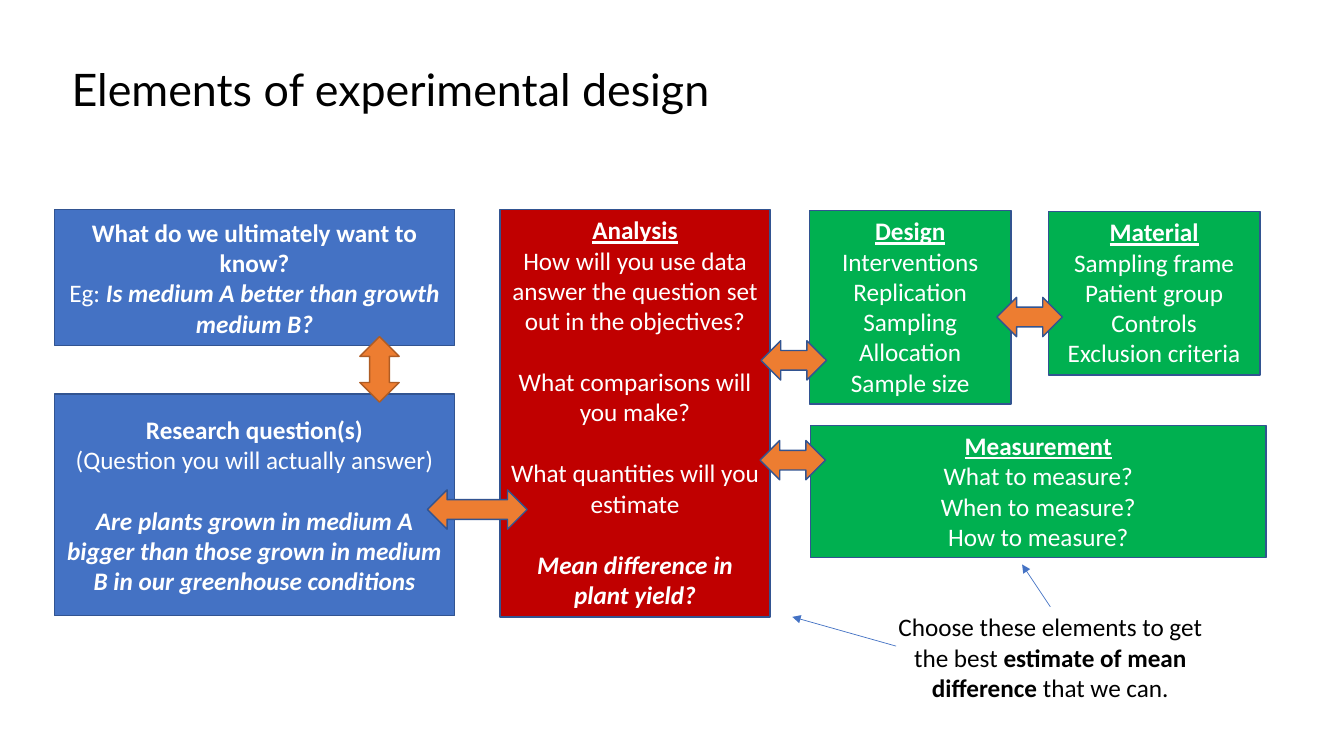
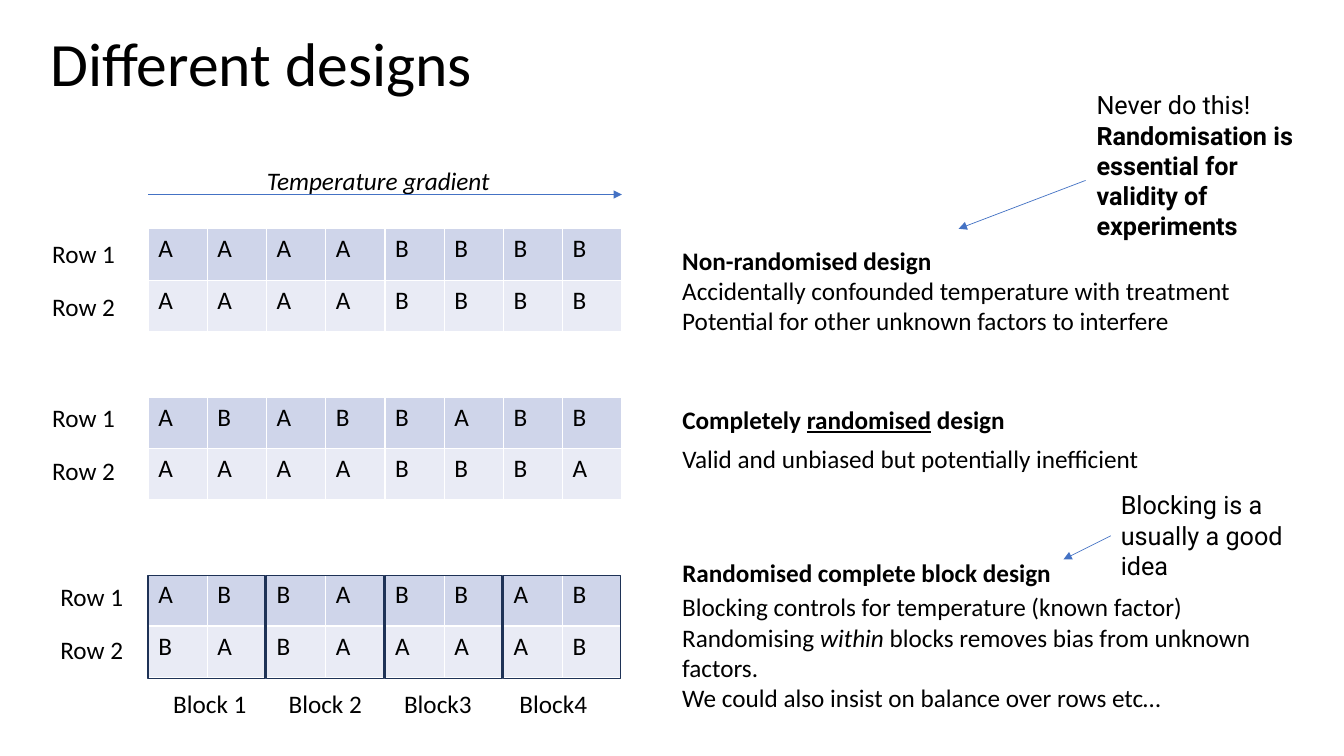
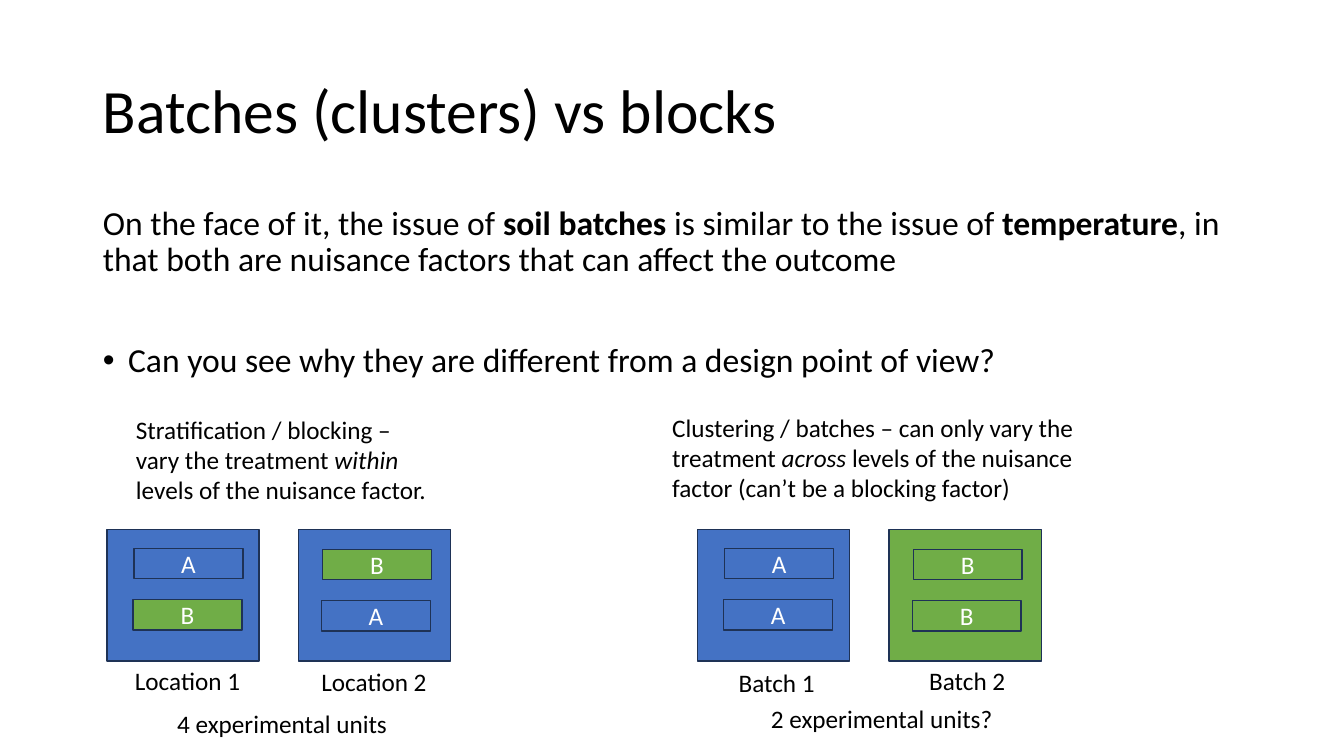
import pptx
import pptx.util
import pptx.dml.color
import pptx.enum.shapes
import pptx.enum.text
import pptx.oxml
import pptx.oxml.ns
from lxml import etree

RGBColor = pptx.dml.color.RGBColor
SHAPE = pptx.enum.shapes.MSO_SHAPE
ANCHOR = pptx.enum.text.MSO_ANCHOR
ALIGN = pptx.enum.text.PP_ALIGN
qn = pptx.oxml.ns.qn

# Shared look
BLACK = RGBColor(0x00, 0x00, 0x00)
WHITE = RGBColor(0xFF, 0xFF, 0xFF)
BLUE = RGBColor(0x44, 0x72, 0xC4)
EDGE = RGBColor(0x32, 0x54, 0x91)
NAVY = RGBColor(0x1E, 0x32, 0x56)
GREEN = RGBColor(0x00, 0xB0, 0x50)
LEAF = RGBColor(0x70, 0xAD, 0x47)
RED = RGBColor(0xC0, 0x00, 0x00)
ORANGE = RGBColor(0xED, 0x7D, 0x31)
RUST = RGBColor(0xAF, 0x5C, 0x24)
BANDS = (RGBColor(0xCF, 0xD5, 0xEA), RGBColor(0xE9, 0xEB, 0xF5))
FONT = "Calibri"
TEXT_SIZE = 18
LINE_GAP = 22  # one line of running text, in points

# The grid: 133.33 columns by 75 rows of square cells
CELL = pptx.util.Inches(0.1)
COLS, ROWS = 133.33, 75
TITLE_W, TITLE_H = 115, 14.5
LABEL_H = 4


def grid(*cells):
    """Turn grid cells into lengths."""
    return [pptx.util.Emu(round(c * CELL)) for c in cells]


def para(*runs, gap=0):
    """A paragraph: runs are text or (text, letters from b, i, u)."""
    return runs, gap


def write(tf, paras, size=TEXT_SIZE, font=FONT, color=BLACK, align=ALIGN.LEFT,
          spacing=None):
    for n, (runs, gap) in enumerate(paras):
        p = tf.paragraphs[0] if n == 0 else tf.add_paragraph()
        p.alignment = align
        p.space_before = pptx.util.Pt(gap)
        if spacing:
            p.line_spacing = spacing
        for run in runs:
            text, style = (run, "") if isinstance(run, str) else run
            r = p.add_run()
            r.text = text
            r.font.name = font
            r.font.size = pptx.util.Pt(size)
            r.font.color.rgb = color
            r.font.bold = "b" in style
            r.font.italic = "i" in style
            r.font.underline = "u" in style


def place(ph, x, y, w, h):
    ph.left, ph.top, ph.width, ph.height = grid(x, y, w, h)
    ph.text_frame.auto_size = pptx.enum.text.MSO_AUTO_SIZE.NONE


def new_slide(prs, layout, title, x, y, size=44, font=FONT,
              anchor=ANCHOR.MIDDLE):
    s = prs.slides.add_slide(prs.slide_layouts[layout])
    place(s.shapes.title, x, y, TITLE_W, TITLE_H)
    tf = s.shapes.title.text_frame
    tf.vertical_anchor = anchor
    write(tf, [para(title)], size, font, spacing=0.9)
    return s


def textbox(s, x, y, w, h, *paras, wrap=True, **style):
    sp = s.shapes.add_textbox(*grid(x, y, w, h))
    sp.text_frame.word_wrap = wrap
    write(sp.text_frame, paras, **style)
    return sp


def label(s, x, y, w, *runs):
    return textbox(s, x, y, w, LABEL_H, para(*runs), wrap=False)


def shape(s, kind, x, y, w, h, fill, line):
    sp = s.shapes.add_shape(kind, *grid(x, y, w, h))
    sp.shadow.inherit = False
    if fill is None:
        sp.fill.background()
    else:
        sp.fill.solid()
        sp.fill.fore_color.rgb = fill
    sp.line.color.rgb = line
    sp.line.width = pptx.util.Pt(1)
    return sp


def box(s, x, y, w, h, fill, *paras, line=EDGE, anchor=ANCHOR.TOP):
    sp = shape(s, SHAPE.RECTANGLE, x, y, w, h, fill, line)
    sp.text_frame.word_wrap = True
    sp.text_frame.vertical_anchor = anchor
    write(sp.text_frame, paras, color=WHITE, align=ALIGN.CENTER)
    return sp


def two_way(s, x, y, w=6.5, line=EDGE, rotation=0):
    sp = shape(s, SHAPE.LEFT_RIGHT_ARROW, x, y, w, 3.9, ORANGE, line)
    sp.rotation = rotation


def arrow(s, x1, y1, x2, y2, start=None, site=0):
    c = s.shapes.add_connector(pptx.enum.shapes.MSO_CONNECTOR.STRAIGHT,
                               *grid(x1, y1, x2, y2))
    if start is not None:
        c.begin_connect(start, site)
    c.line.color.rgb = BLUE
    c.line.width = pptx.util.Pt(0.5)
    spPr = c.element.spPr
    etree.SubElement(spPr.find(qn("a:ln")), qn("a:tailEnd"), type="triangle")
    etree.SubElement(spPr, qn("a:effectLst"))


def border(cell):
    tcPr = cell._tc.get_or_add_tcPr()
    for side in ("lnL", "lnR", "lnT", "lnB"):
        ln = etree.SubElement(tcPr, qn("a:" + side),
                              w=str(pptx.util.Pt(1)))
        fill = etree.SubElement(ln, qn("a:solidFill"))
        etree.SubElement(fill, qn("a:srgbClr"), val=str(WHITE))


def plot_table(s, x, y, w, h, rows):
    """A field layout: one string of treatments for each row."""
    t = s.shapes.add_table(len(rows), len(rows[0]), *grid(x, y, w, h)).table
    t.first_row = t.horz_banding = False
    for i, row in enumerate(rows):
        for j, treatment in enumerate(row):
            cell = t.cell(i, j)
            border(cell)
            cell.fill.solid()
            cell.fill.fore_color.rgb = BANDS[i]
            write(cell.text_frame, [para(treatment)])


def bullet(p, char=None):
    """Give a paragraph a hanging bullet, or none."""
    pPr = p._p.get_or_add_pPr()
    indent = CELL * 5 // 2 if char else 0
    pPr.set("marL", str(indent))
    pPr.set("indent", str(-indent))
    if char:
        etree.SubElement(pPr, qn("a:buFont"), typeface="Arial")
        etree.SubElement(pPr, qn("a:buChar"), char=char)
    else:
        etree.SubElement(pPr, qn("a:buNone"))


def elements_slide(prs):
    s = new_slide(prs, 5, "Elements of experimental design", 6.1, 6.2,
                  size=32, font="Lato", anchor=ANCHOR.TOP)

    # Questions
    left, width, top = 5.4, 39.7, 20.8
    box(s, left, top, width, 13.5, BLUE,
        para(("What do we ultimately want to know?", "b")),
        para("Eg: ", ("Is medium A better than growth medium B?", "bi")),
        anchor=ANCHOR.MIDDLE)
    box(s, left, 39.1, width, 22, BLUE,
        para(("Research question(s)", "b")),
        para("(Question you will actually answer)"),
        para(("Are plants grown in medium A bigger than those grown in "
              "medium B in our greenhouse conditions", "bi"), gap=LINE_GAP),
        anchor=ANCHOR.MIDDLE)

    # Analysis
    box(s, 49.6, top, 26.8, 40.4, RED,
        para(("Analysis", "bu")),
        para("How will you use data answer the question set out in the "
             "objectives?"),
        para("What comparisons will you make?", gap=LINE_GAP),
        para("What quantities will you estimate", gap=LINE_GAP),
        para(("Mean difference in plant yield?", "bi"), gap=LINE_GAP))

    # Things to choose
    for x, y, w, h, head, items in (
            (80.3, 20.9, 20, 19.2, "Design",
             ("Interventions", "Replication", "Sampling", "Allocation",
              "Sample size")),
            (104, 21, 21, 16.2, "Material",
             ("Sampling frame", "Patient group", "Controls",
              "Exclusion criteria")),
            (80.4, 42.2, 45.2, 13.1, "Measurement",
             ("What to measure?", "When to measure?", "How to measure?"))):
        box(s, x, y, w, h, GREEN, para((head, "bu")), *map(para, items))

    # Links between the boxes
    two_way(s, 34.4, 34.7, line=RUST, rotation=90)
    two_way(s, 98.9, 29.5)
    two_way(s, 75.4, 43.7)
    two_way(s, 75.5, 33.8)
    two_way(s, 42.4, 48.6, w=9.9)

    # Advice
    note = textbox(s, 87.3, 60.2, 33.8, 10.1,
                   para("Choose these elements to get the best ",
                        ("estimate of mean difference ", "b"),
                        "that we can."), align=ALIGN.CENTER)
    arrow(s, 104.2, 60.2, 101.4, 56, note, 0)
    arrow(s, 88.9, 64.1, 78.6, 61.2)


def designs_slide(prs):
    s = new_slide(prs, 5, "Different designs", 4, -0.6)

    # Field layouts with their row labels
    left, width, height = 14.7, 47, 10.2
    for y, label_x, label_y, rows in (
            (22.7, 4.2, 23.2, ("AAAABBBB", "AAAABBBB")),
            (39.4, 4.2, 39.4, ("ABABBABB", "AAAABBBA")),
            (57, 5, 57.2, ("ABBABBAB", "BABAAAAB"))):
        plot_table(s, left, y, width, height, rows)
        for i in range(len(rows)):
            label(s, label_x, label_y + 5.25 * i, 8.3, f"Row {i + 1}")

    # Gradient
    label(s, 25.5, 15.9, 24.3, ("Temperature gradient", "i"))
    arrow(s, left, 19.3, left + width, 19.3)

    # Blocks
    for i, name in enumerate(("Block 1", "Block 2", "Block3", "Block4")):
        shape(s, SHAPE.RECTANGLE, left + width / 4 * i, 57.1, 11.6, height,
              None, NAVY)
        label(s, 16.2 + 11.45 * i, 67.8, 9.4 if " " in name else 8.8, name)

    # Descriptions
    for y, w, h, paras in (
            (23.8, 60.6, 10.1,
             (para(("Non-randomised design", "b")),
              para("Accidentally confounded temperature with treatment"),
              para("Potential for other unknown factors to interfere"))),
            (39.6, 51.2, LABEL_H,
             (para(("Completely ", "b"), ("randomised", "bu"),
                   (" design", "b")),)),
            (43.5, 51.2, LABEL_H,
             (para("Valid and unbiased but potentially inefficient"),)),
            (54.8, 51.2, LABEL_H,
             (para(("Randomised complete block design", "b")),)),
            (58.2, 61.7, 13.1,
             (para("Blocking controls for temperature (known factor)"),
              para("Randomising ", ("within", "i"),
                   " blocks removes bias from unknown factors."),
              para("We could also insist on balance over rows etc…")))):
        textbox(s, 66.7, y, w, h, *paras)

    # Remarks
    textbox(s, 107.8, 8.4, 23.3, 16.2, para("Never do this!"),
            para(("Randomisation is essential for validity of experiments",
                  "b")), font="Roboto")
    arrow(s, 107.7, 17.9, 95.1, 22.7)
    remark = textbox(s, 110.2, 48.1, 22.5, 10.1,
                     para("Blocking is a usually a good idea"), font="Roboto")
    arrow(s, 110.2, 53.2, 105.5, 55.5, remark, 1)


def batches_slide(prs):
    s = new_slide(prs, 1, "Batches (clusters) vs blocks", 9.2, 4)

    # Question
    body = s.placeholders[1]
    place(body, 9.2, 20, TITLE_W, 47.6)
    tf = body.text_frame
    write(tf, [para("On the face of it, the issue of ", ("soil batches ", "b"),
                    "is similar to the issue of ", ("temperature", "b"),
                    ", in that both are nuisance factors that can affect "
                    "the outcome"),
               para("Can you see why they are different from a design point "
                    "of view?", gap=46)], size=24, spacing=0.9)
    bullet(tf.paragraphs[0])
    bullet(tf.paragraphs[1], "•")

    # Explanations
    textbox(s, 12.5, 40.6, 31.8, 10.1,
            para("Stratification / blocking – vary the treatment ",
                 ("within", "i"), " levels of the nuisance factor."))
    textbox(s, 65.7, 40.4, 46.1, 10.1,
            para("Clustering / batches – can only vary the treatment ",
                 ("across ", "i"),
                 "levels of the nuisance factor (can’t be a blocking factor)"))

    # Panels, each holding two plots
    fills = {"A": BLUE, "B": LEAF}
    for left, panels in ((10.6, ((BLUE, "AB"), (BLUE, "BA"))),
                         (69.2, ((BLUE, "AA"), (LEAF, "BB")))):
        for i, (fill, plots) in enumerate(panels):
            x, y = left + 19 * i, 52.5
            shape(s, SHAPE.RECTANGLE, x, y, 15.1, 13.1, fill, NAVY)
            for j, treatment in enumerate(plots):
                box(s, x + 2.7 - 0.3 * i - 0.1 * j,
                    y + 1.9 + 0.1 * i + 5.1 * j, 10.8, 3, fills[treatment],
                    para(treatment), line=NAVY, anchor=ANCHOR.MIDDLE)

    # Captions
    for x, y, w, text in ((12.4, 65.5, 12.6, "Location 1"),
                          (30.9, 65.6, 12.6, "Location 2"),
                          (72.3, 65.7, 9.6, "Batch 1"),
                          (91.2, 65.5, 9.6, "Batch 2"),
                          (16.6, 69.8, 23.1, "4 experimental units"),
                          (75.5, 69.3, 24.2, "2 experimental units?")):
        label(s, x, y, w, text)


def main():
    prs = pptx.Presentation()
    prs.slide_width, prs.slide_height = grid(COLS, ROWS)
    elements_slide(prs)
    designs_slide(prs)
    batches_slide(prs)
    prs.save("out.pptx")


if __name__ == "__main__":
    main()
